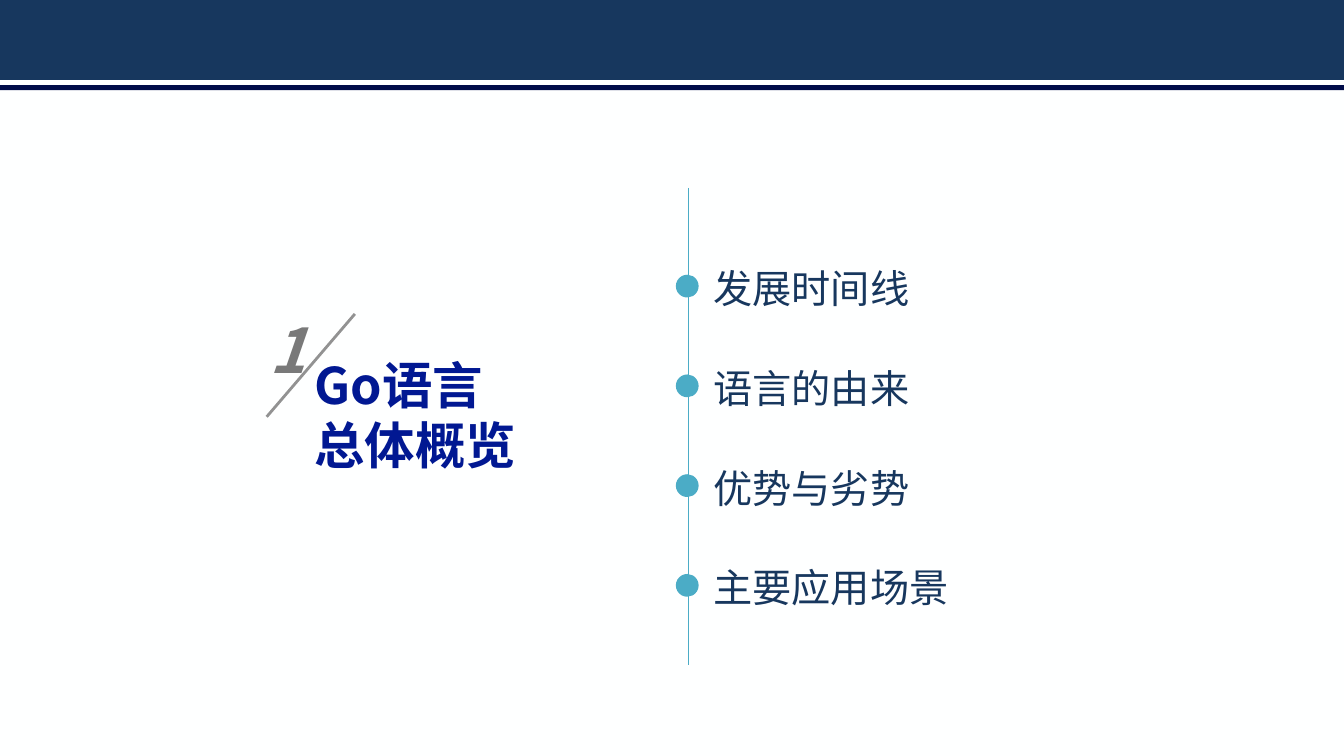
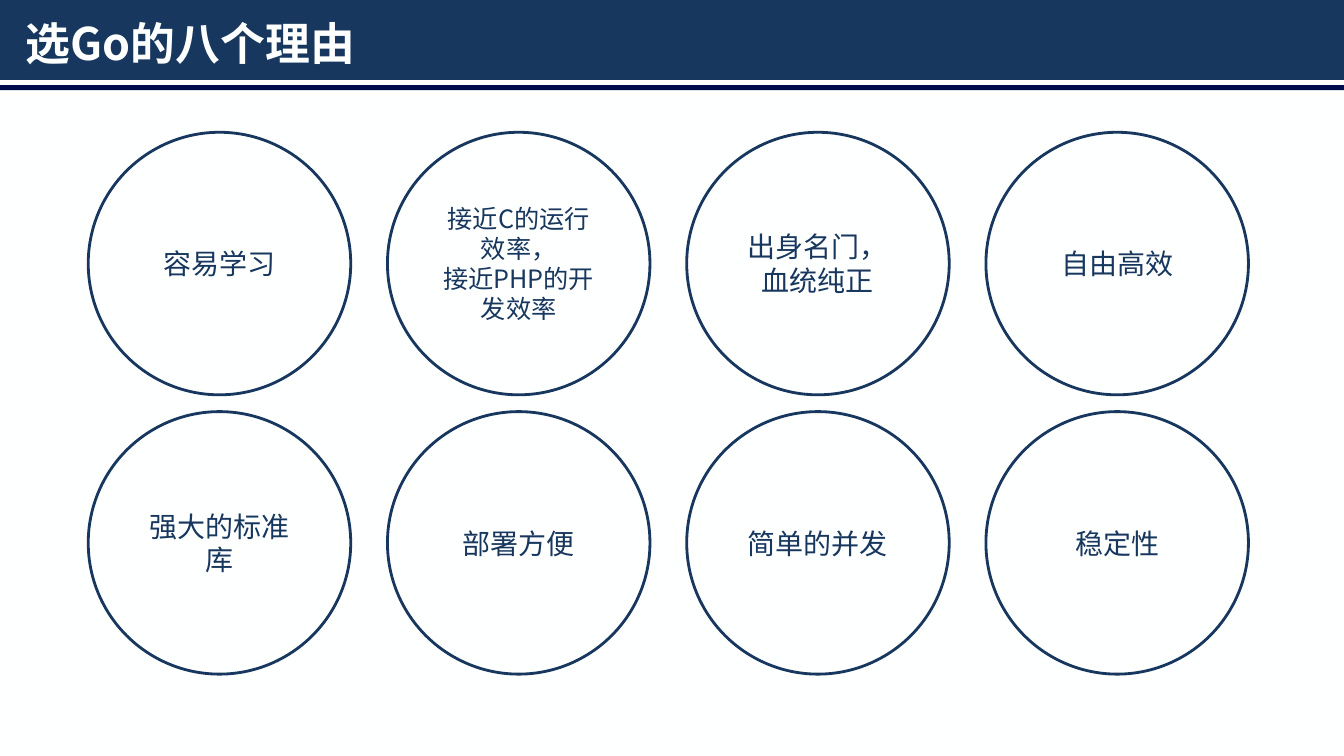
from dataclasses import dataclass
from typing import Any

from lxml.etree import SubElement
from pptx import Presentation
from pptx.dml.color import RGBColor
from pptx.enum.shapes import MSO_CONNECTOR, MSO_SHAPE
from pptx.enum.text import MSO_ANCHOR, MSO_AUTO_SIZE, PP_ALIGN
from pptx.oxml import parse_xml
from pptx.oxml.ns import nsdecls, qn
from pptx.util import Emu, Pt

EMU_PER_PX = 9525
POINTS_PER_PX = 0.75
LINE_HEIGHT = 1.2
FONT = "Noto Sans CJK SC"
COLORS = {
    "paper": "FEFFFF",
    "navy": "17375E",
    "midnight": "000C49",
    "blue": "011892",
    "teal": "4BACC6",
    "dark gray": "797979",
    "gray": "929292",
}
FORMATS: dict[str, dict[str, Any]] = {
    "title": {"size": 32, "bold": True, "color": "paper"},
    "section": {"size": 36, "bold": True, "color": "blue"},
    "number": {"size": 44, "bold": True, "italic": True, "color": "dark gray"},
    "topic": {"size": 28, "bold": False, "color": "navy"},
    "reason": {"size": 20, "bold": False, "color": "navy"},
    "long reason": {"size": 18, "bold": False, "color": "navy"},
}


@dataclass(frozen=True)
class Box:
    """A rectangle in pixels."""

    left: int
    top: int
    width: int
    height: int

    def emu(self) -> tuple[Emu, ...]:
        """Return the four lengths in EMU."""
        return tuple(px(value) for value in (self.left, self.top, self.width, self.height))


@dataclass(frozen=True)
class Stroke:
    """A straight line between two points in pixels."""

    start: tuple[int, int]
    end: tuple[int, int]
    color: str
    weight: float


@dataclass(frozen=True)
class Reason:
    """The lines of text in one circle and their format."""

    lines: tuple[str, ...]
    style: str = "reason"


SLIDE_SIZE = (1280, 720)
BANDS = ((Box(0, 0, 1280, 76), "navy"), (Box(0, 81, 1280, 5), "midnight"))
SLASH = Stroke((338, 299), (254, 397), "gray", 2)
TIMELINE = Stroke((655, 179), (655, 633), "teal", 0.25)
TOPICS = ("发展时间线", "语言的由来", "优势与劣势", "主要应用场景")
TOPIC_PITCH = 95
FIRST_DOT = Box(645, 263, 19, 19)
REASONS = (
    Reason(("容易学习",)),
    Reason(("接近C的运行效率，", "接近PHP的开发效率"), "long reason"),
    Reason(("出身名门，", "血统纯正")),
    Reason(("自由高效",)),
    Reason(("强大的标准库",)),
    Reason(("部署方便",)),
    Reason(("简单的并发",)),
    Reason(("稳定性",)),
)
REASON_COLUMNS = 4
FIRST_CIRCLE = Box(84, 126, 250, 250)
CIRCLE_PITCH = (285, 266)


def px(value: int) -> Emu:
    """Turn pixels into EMU."""
    return Emu(value * EMU_PER_PX)


def rgb(name: str) -> RGBColor:
    """Look up a color by name."""
    return RGBColor.from_string(COLORS[name])


def place(shape: Any, box: Box) -> None:
    """Move and resize a shape."""
    for name, value in zip(("left", "top", "width", "height"), box.emu()):
        setattr(shape, name, value)


def write_text(
    shape: Any,
    lines: tuple[str, ...],
    style: str,
    alignment: PP_ALIGN = PP_ALIGN.LEFT,
    anchor: MSO_ANCHOR = MSO_ANCHOR.TOP,
    wrap: bool = False,
    gap: float = 0,
) -> None:
    """Fill a shape with paragraphs in one of the shared formats."""
    text_frame = shape.text_frame
    frame_values = {
        "auto_size": MSO_AUTO_SIZE.NONE,
        "word_wrap": wrap,
        "vertical_anchor": anchor,
    }
    for name, value in frame_values.items():
        setattr(text_frame, name, value)
    size = FORMATS[style]["size"]
    for index, line in enumerate(lines):
        paragraph = text_frame.add_paragraph() if index else text_frame.paragraphs[0]
        paragraph_values = {
            "alignment": alignment,
            "line_spacing": Pt(size * LINE_HEIGHT),
            "space_before": Pt(gap if index else 0),
            "space_after": Pt(0),
        }
        for name, value in paragraph_values.items():
            setattr(paragraph, name, value)
        run = paragraph.add_run()
        run.text = line
        run.font.name = FONT
        for name, value in FORMATS[style].items():
            if name == "color":
                run.font.color.rgb = rgb(value)
            else:
                setattr(run.font, name, Pt(value) if name == "size" else value)
    for latin in list(shape.element.iter(qn("a:latin"))):
        latin.addnext(parse_xml(f'<a:ea {nsdecls("a")} typeface="{FONT}"/>'))


def remove_bullets(shape: Any) -> None:
    """Turn off bullets and indents in every paragraph."""
    for properties in shape.element.iter(qn("a:pPr")):
        properties.set("marL", "0")
        properties.set("indent", "0")
        SubElement(properties, qn("a:buNone"))


def add_figure(
    slide: Any, kind: MSO_SHAPE, box: Box, fill: str, line: str | None = None
) -> Any:
    """Draw a flat preset shape."""
    shape = slide.shapes.add_shape(kind, *box.emu())
    shape.shadow.inherit = False
    shape.fill.solid()
    shape.fill.fore_color.rgb = rgb(fill)
    if line is None:
        shape.line.fill.background()
    else:
        shape.line.color.rgb = rgb(line)
        shape.line.width = Pt(2)
    return shape


def add_stroke(slide: Any, stroke: Stroke) -> None:
    """Draw a flat straight connector."""
    points = (px(value) for value in stroke.start + stroke.end)
    connector = slide.shapes.add_connector(MSO_CONNECTOR.STRAIGHT, *points)
    connector.line.color.rgb = rgb(stroke.color)
    connector.line.width = Pt(stroke.weight)
    SubElement(connector.element.spPr, qn("a:effectLst"))


def style_master(presentation: Any, slide: Any) -> None:
    """Give the slide master its background and header bands."""
    master = presentation.slide_master
    master.background.fill.solid()
    master.background.fill.fore_color.rgb = rgb("paper")
    for index, (box, color) in enumerate(BANDS):
        band = add_figure(slide, MSO_SHAPE.RECTANGLE, box, color)
        next(band.element.iter(qn("p:cNvPr"))).set("id", str(100 + index))
        master.shapes.element.insert(2 + index, band.element)


def build_section(slide: Any) -> None:
    """Build the section opener with its list of topics."""
    title = slide.shapes.title
    place(title, Box(290, 332, 213, 126))
    write_text(title, ("Go语言", "总体概览"), "section")
    number = slide.shapes.add_textbox(*Box(247, 292, 67, 81).emu())
    write_text(number, ("1",), "number")
    add_stroke(slide, SLASH)
    add_stroke(slide, TIMELINE)
    topics = slide.placeholders[1]
    place(topics, Box(670, 247, 300, 340))
    gap = TOPIC_PITCH * POINTS_PER_PX - FORMATS["topic"]["size"] * LINE_HEIGHT
    write_text(topics, TOPICS, "topic", gap=gap)
    remove_bullets(topics)
    for index in range(len(TOPICS)):
        top = FIRST_DOT.top + index * TOPIC_PITCH
        dot = Box(FIRST_DOT.left, top, FIRST_DOT.width, FIRST_DOT.height)
        add_figure(slide, MSO_SHAPE.OVAL, dot, "teal", "teal")


def build_reasons(slide: Any) -> None:
    """Build the grid of reasons in circles."""
    title = slide.shapes.title
    place(title, Box(15, 10, 1250, 58))
    write_text(title, ("选Go的八个理由",), "title")
    for index, reason in enumerate(REASONS):
        row, column = divmod(index, REASON_COLUMNS)
        box = Box(
            FIRST_CIRCLE.left + column * CIRCLE_PITCH[0],
            FIRST_CIRCLE.top + row * CIRCLE_PITCH[1],
            FIRST_CIRCLE.width,
            FIRST_CIRCLE.height,
        )
        circle = add_figure(slide, MSO_SHAPE.OVAL, box, "paper", "navy")
        write_text(
            circle, reason.lines, reason.style, PP_ALIGN.CENTER, MSO_ANCHOR.MIDDLE, True
        )


def main() -> None:
    """Build and save the presentation."""
    presentation = Presentation()
    presentation.slide_width, presentation.slide_height = map(px, SLIDE_SIZE)
    layouts = presentation.slide_layouts
    section = presentation.slides.add_slide(layouts.get_by_name("Title and Content"))
    reasons = presentation.slides.add_slide(layouts.get_by_name("Title Only"))
    style_master(presentation, section)
    build_section(section)
    build_reasons(reasons)
    presentation.save("out.pptx")


if __name__ == "__main__":
    main()
